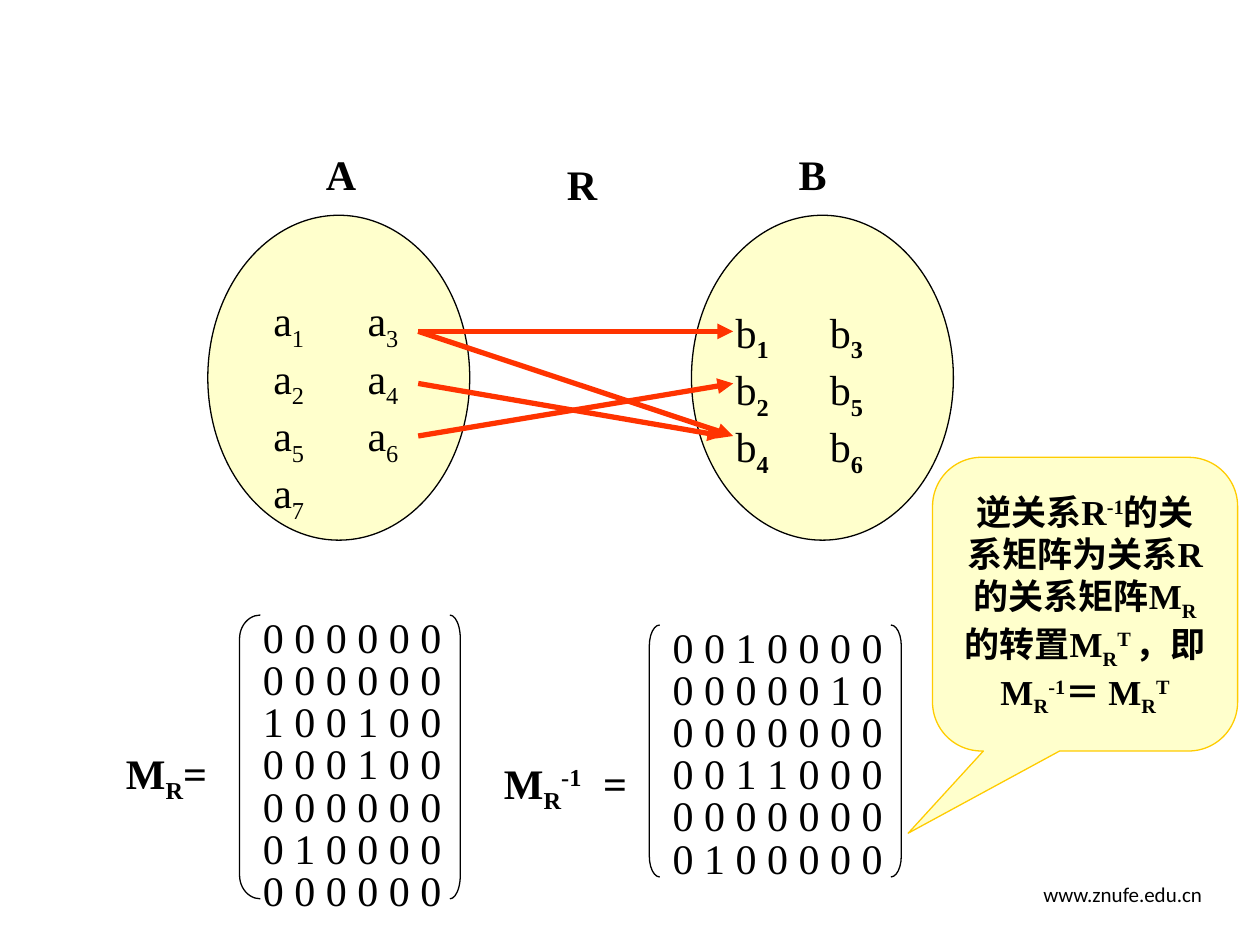
"""Build a slide on a relation, its inverse and their matrices."""
from lxml.etree import SubElement
from pptx import Presentation
from pptx.dml.color import RGBColor
from pptx.enum.shapes import MSO_CONNECTOR as Link, MSO_SHAPE as Kind
from pptx.enum.text import MSO_ANCHOR as Anchor, PP_ALIGN as Align
from pptx.oxml.ns import qn
from pptx.util import Cm, Pt

paint = RGBColor.from_string
LIFT = {"_": "-25000", "^": "30000"}
ALL = "=_^"


def write(frame, lines, bold="", size=24, font="Times New Roman"):
    """Write lines whose runs are split by | and marked _ (low) or ^ (high)."""
    for i, line in enumerate(lines):
        para = frame.paragraphs[0] if i == 0 else frame.add_paragraph()
        for part in line.split("|"):
            mark = part[0] if part[0] in LIFT else "="
            run = para.add_run()
            run.text = part.lstrip("_^")
            run.font.size = Pt(size)
            run.font.name = font
            run.font.bold = mark in bold
            run.font.color.rgb = paint("000000")
            if mark in LIFT:
                run._r.get_or_add_rPr().set("baseline", LIFT[mark])


def place(x, y, w, h, lines, wrap=True, **style):
    """Add a text box and return its frame."""
    frame = shapes.add_textbox(Cm(x), Cm(y), Cm(w), Cm(h)).text_frame
    frame.word_wrap = wrap
    write(frame, lines, **style)
    return frame


deck = Presentation()
deck.slide_width, deck.slide_height = Cm(25.4), Cm(19.05)
shapes = deck.slides.add_slide(deck.slide_layouts[6]).shapes

site = place(20.45, 17.65, 4.37, 0.76, ["www.znufe.edu.cn"], size=12, font="Calibri")
site.paragraphs[0].alignment = Align.CENTER

first = ["0 0 0 0 0 0", "0 0 0 0 0 0", "1 0 0 1 0 0", "0 0 0 1 0 0",
         "0 0 0 0 0 0", "0 1 0 0 0 0", "0 0 0 0 0 0"]
second = ["0 0 1 0 0 0 0", "0 0 0 0 0 1 0", "0 0 0 0 0 0 0",
          "0 0 1 1 0 0 0", "0 0 0 0 0 0 0", "0 1 0 0 0 0 0"]
for x, y, w, rows in [(5.05, 12.2, 4.65, first), (13.31, 12.4, 5.72, second)]:
    for i, row in enumerate(rows):
        place(x, y + i * 0.85, w, 1.27, [row])

place(2.29, 14.94, 2.34, 1.42, ["M|_R|="], bold=ALL)
label = place(9.91, 15.14, 3.38, 1.42, ["M|_R|^-1|\t="], bold=ALL)
stops = SubElement(label.paragraphs[0]._p.get_or_add_pPr(), qn("a:tabLst"))
SubElement(stops, qn("a:tab"), pos=str(Cm(2)), algn="l")

for kind, x, y, w, h in [(Kind.LEFT_BRACKET, 4.83, 12.4, 0.42, 5.72),
                         (Kind.RIGHT_BRACKET, 9.07, 12.4, 0.21, 5.72),
                         (Kind.LEFT_BRACKET, 13.09, 12.6, 0.21, 5.08),
                         (Kind.RIGHT_BRACKET, 17.96, 12.6, 0.21, 5.08)]:
    brace = shapes.add_shape(kind, Cm(x), Cm(y), Cm(w), Cm(h))
    brace.adjustments[0] = h / 12 / w
    brace.shadow.inherit = False
    brace.fill.background()
    brace.line.color.rgb = paint("000000")
    brace.line.width = Pt(0.75)

for kind, x, y, w, h, edge in [
        (Kind.ROUNDED_RECTANGULAR_CALLOUT, 18.8, 9.22, 6.15, 5.92, "FFCC00"),
        (Kind.OVAL, 4.19, 4.34, 5.28, 6.55, "000000"),
        (Kind.OVAL, 13.94, 4.34, 5.28, 6.55, "000000")]:
    shape = shapes.add_shape(kind, Cm(x), Cm(y), Cm(w), Cm(h))
    shape.shadow.inherit = False
    shape.fill.solid()
    shape.fill.fore_color.rgb = paint("FFFFCC")
    shape.line.color.rgb = paint(edge)
    shape.line.width = Pt(0.75)
    if kind == Kind.ROUNDED_RECTANGULAR_CALLOUT:
        shape.adjustments[0] = -0.58
        shape.adjustments[1] = 0.78
        note = shape.text_frame
        note.word_wrap = True
        note.vertical_anchor = Anchor.MIDDLE
        write(note, ["逆关系R|^-1|的关系矩阵为关系R 的关系矩阵M|_R|的转置M|_R|^T "
                     "|，即M|_R|^-1|＝ M|_R|^T"], bold=ALL, size=20)
        note.paragraphs[0].alignment = Align.CENTER

for name, x, y, marks, bold in [("a", 7.16, 5.82, "346", ""),
                                ("a", 5.26, 5.82, "1257", ""),
                                ("b", 14.58, 6.05, "124", "_"),
                                ("b", 16.48, 6.05, "356", "_")]:
    place(x, y, 1.47, 0.25 + 1.16 * len(marks),
          [f"{name}|_{mark}" for mark in marks], bold=bold)

top, mid, low = 6.68, 7.73, 8.79
for start, end, tip in [(top, top, 14.78), (top, low, 14.78),
                        (mid, low, 14.58), (low, mid, 14.78)]:
    arrow = shapes.add_connector(Link.STRAIGHT, Cm(8.43), Cm(start), Cm(tip), Cm(end))
    arrow.line.color.rgb = paint("FF3300")
    arrow.line.width = Pt(3)
    SubElement(arrow.line._get_or_add_ln(), qn("a:tailEnd"), type="triangle")
    SubElement(arrow._element.spPr, qn("a:effectLst"))

for name, x, y in [("A", 6.32, 2.87), ("B", 15.85, 2.87), ("R", 11.18, 3.07)]:
    place(x, y, 1.12, 1.27, [name], wrap=False, bold=ALL)

deck.save("out.pptx")
